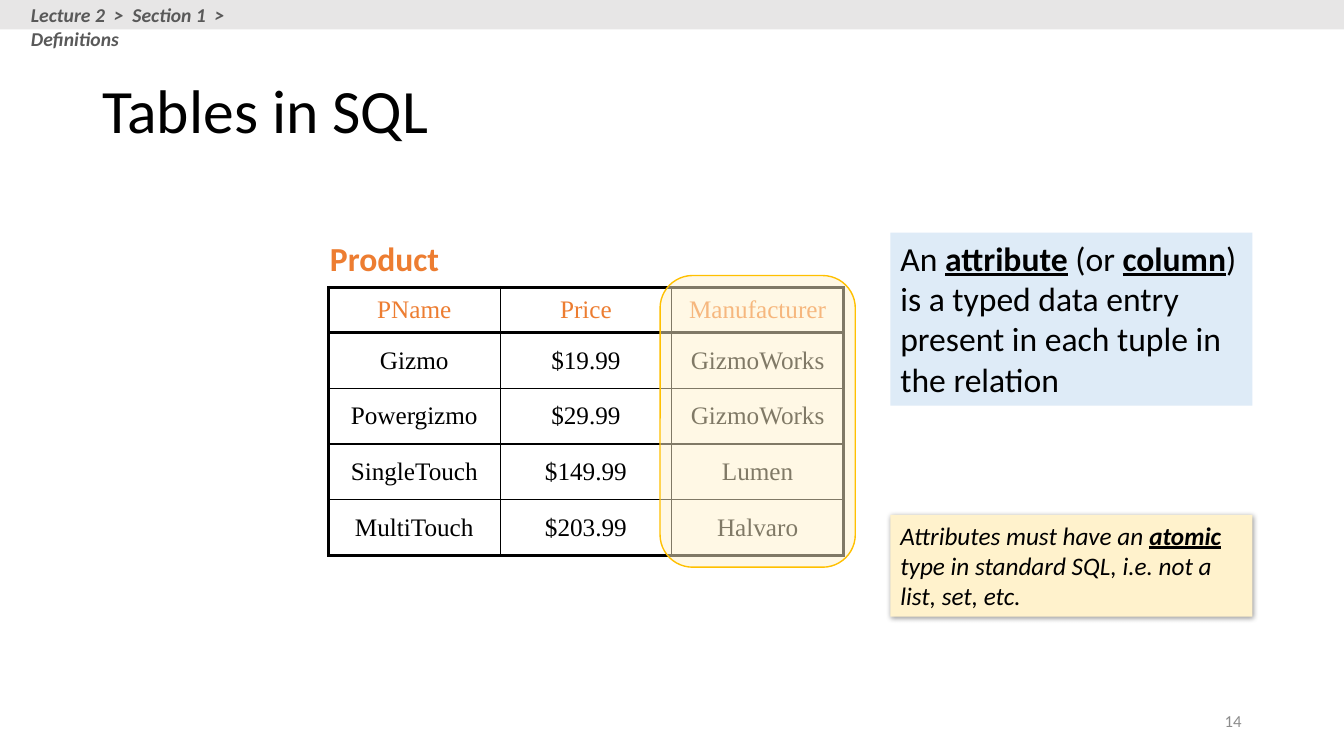
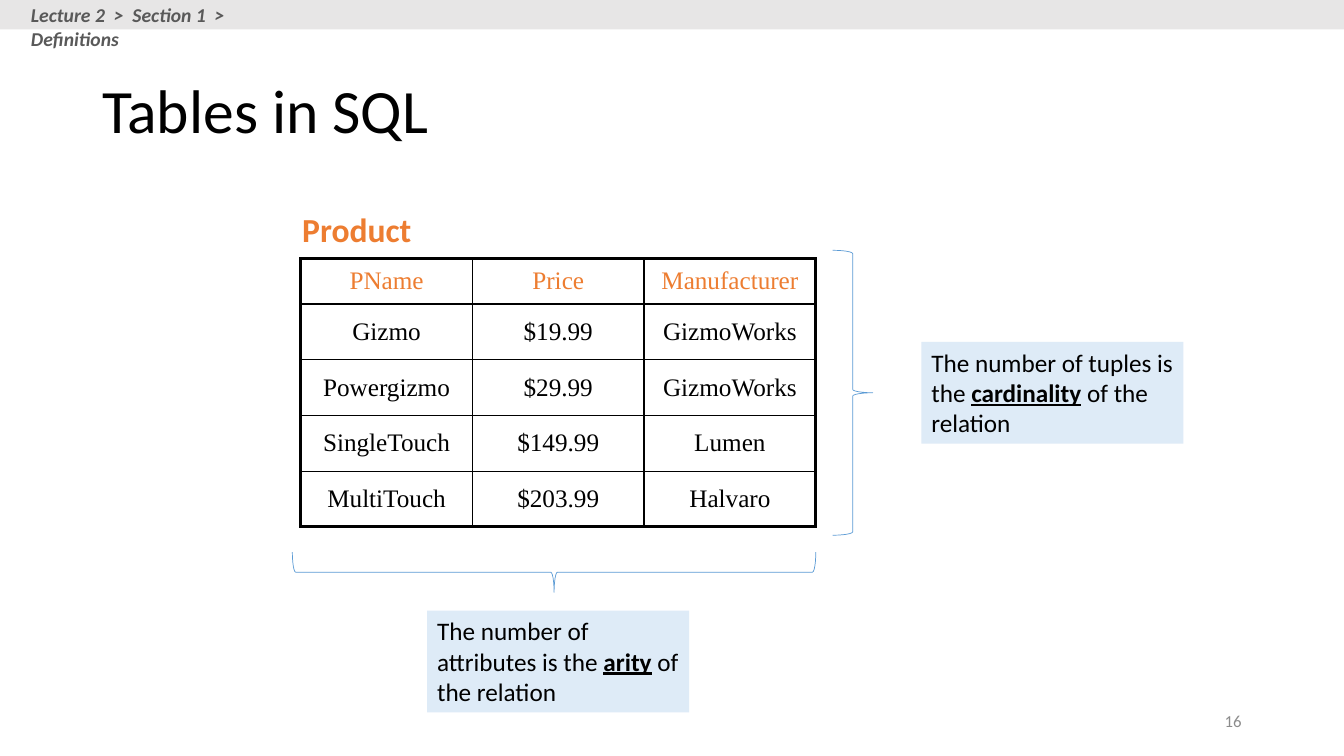
from dataclasses import dataclass

from lxml.etree import SubElement
from pptx import Presentation
from pptx.dml.color import RGBColor
from pptx.enum.shapes import MSO_SHAPE
from pptx.enum.text import MSO_ANCHOR, PP_ALIGN
from pptx.oxml.ns import qn
from pptx.util import Emu, Pt

# The slide is a grid of square cells, twelve to the inch.
CELL = 76200
GRID_COLUMNS, GRID_ROWS = 160, 90


@dataclass(frozen=True)
class Theme:
    body_font: str = "Calibri"
    table_font: str = "Times New Roman"
    ink: str = "000000"
    accent: str = "ED7D31"
    band: str = "E7E6E6"
    breadcrumb: str = "595959"
    page_number: str = "8C8C8C"
    definition: str = "DEEBF7"
    remark: str = "FFF2CC"
    highlight_line: str = "FFC000"
    brace: str = "5B9BD5"
    title_size: float = 44
    large_size: float = 24
    text_size: float = 18
    breadcrumb_size: float = 14
    number_size: float = 12
    outer_border: float = 2.25
    inner_border: float = 1


THEME = Theme()


@dataclass(frozen=True)
class Box:
    """An area in grid cells."""
    left: float
    top: float
    width: float
    height: float

    @property
    def right(self):
        return self.left + self.width

    @property
    def bottom(self):
        return self.top + self.height

    def grown(self, dx, dy):
        return Box(self.left - dx, self.top - dy, self.width + 2 * dx, self.height + 2 * dy)

    def emu(self):
        return [cells(n) for n in (self.left, self.top, self.width, self.height)]


BAND = Box(0, 0, GRID_COLUMNS, 3.5)
BREADCRUMB = Box(2.5, -0.2, 36.4, 4)
TITLE = Box(11, 4.8, 138, 17.4)
PAGE_NUMBER = Box(113, 83.4, 36, 4.8)
TABLE_COLUMN, HEADER_ROW, BODY_ROW = 20.44, 5.4, 6.63
BRACE_DEPTH = 4.8
NOTE_WIDTH, NOTE_HEIGHT = 31.2, 12.1

PRODUCTS = [
    ("PName", "Price", "Manufacturer"),
    ("Gizmo", "$19.99", "GizmoWorks"),
    ("Powergizmo", "$29.99", "GizmoWorks"),
    ("SingleTouch", "$149.99", "Lumen"),
    ("MultiTouch", "$203.99", "Halvaro"),
]


def cells(count):
    return Emu(round(count * CELL))


def style(run, size, color=THEME.ink, font=THEME.body_font, bold=False, italic=False):
    run.font.name, run.font.size = font, Pt(size)
    run.font.bold, run.font.italic = bold, italic
    run.font.color.rgb = RGBColor.from_string(color)


def add_text(slide, box, text, size, color=THEME.ink, anchor=MSO_ANCHOR.TOP,
             align=PP_ALIGN.LEFT, wrap=True, **emphasis):
    frame = slide.shapes.add_textbox(*box.emu()).text_frame
    frame.word_wrap, frame.vertical_anchor = wrap, anchor
    frame.text = text
    paragraph = frame.paragraphs[0]
    paragraph.alignment = align
    style(paragraph.runs[0], size, color, **emphasis)
    return paragraph


def add_outline(slide, kind, box, fill=None, line=None, line_width=1):
    shape = slide.shapes.add_shape(kind, *box.emu())
    shape.shadow.inherit = False
    if fill:
        shape.fill.solid()
        shape.fill.fore_color.rgb = RGBColor.from_string(fill)
    else:
        shape.fill.background()
    if line:
        shape.line.color.rgb = RGBColor.from_string(line)
        shape.line.width = Pt(line_width)
    else:
        shape.line.fill.background()
    return shape


def add_note(slide, box, text, size=THEME.text_size, fill=THEME.definition, italic=False):
    """Filled note; terms between asterisks are bold and underlined."""
    note = add_outline(slide, MSO_SHAPE.RECTANGLE, box, fill)
    frame = note.text_frame
    frame.word_wrap, frame.vertical_anchor = True, MSO_ANCHOR.TOP
    paragraph = frame.paragraphs[0]
    paragraph.alignment = PP_ALIGN.LEFT
    for index, part in enumerate(text.split("*")):
        is_term = index % 2 == 1
        run = paragraph.add_run()
        run.text = part
        style(run, size, bold=is_term, italic=italic)
        run.font.underline = is_term
    return note


def cast_shadow(shape):
    effects = shape.element.spPr.find(qn("a:effectLst"))
    shadow = SubElement(effects, qn("a:outerShdw"), blurRad=str(Pt(4)), dist=str(Pt(1)),
                        dir=str(45 * 60000), algn="tl", rotWithShape="0")
    color = SubElement(shadow, qn("a:srgbClr"), val=THEME.ink)
    SubElement(color, qn("a:alpha"), val="40000")


def add_highlight(slide, box):
    highlight = add_outline(slide, MSO_SHAPE.ROUNDED_RECTANGLE, box, THEME.remark,
                            THEME.highlight_line)
    color = highlight.element.spPr.find(qn("a:solidFill")).find(qn("a:srgbClr"))
    SubElement(color, qn("a:alpha"), val="50000")


def add_brace(slide, box, downward=False):
    """Brace filling the box, pointing right or downward."""
    if downward:
        left = box.left + (box.width - box.height) / 2
        top = box.top + (box.height - box.width) / 2
        box = Box(left, top, box.height, box.width)
    brace = add_outline(slide, MSO_SHAPE.RIGHT_BRACE, box, line=THEME.brace, line_width=0.5)
    brace.rotation = 90 if downward else 0


def set_borders(cell, **widths):
    properties = cell._tc.get_or_add_tcPr()
    for position, side in enumerate(("L", "R", "T", "B")):
        border = properties.makeelement(qn("a:ln" + side), {"w": str(Pt(widths[side]))})
        fill = SubElement(border, qn("a:solidFill"))
        SubElement(fill, qn("a:srgbClr"), val=THEME.ink)
        properties.insert(position, border)


def add_product_table(slide, left, top):
    """Product relation with its name above; returns the area of the table."""
    row_count, column_count = len(PRODUCTS), len(PRODUCTS[0])
    area = Box(left, top, column_count * TABLE_COLUMN,
               HEADER_ROW + (row_count - 1) * BODY_ROW)
    table = slide.shapes.add_table(row_count, column_count, *area.emu()).table
    table.first_row = table.horz_banding = False
    for column in table.columns:
        column.width = cells(TABLE_COLUMN)
    thick, thin = THEME.outer_border, THEME.inner_border
    for r, product in enumerate(PRODUCTS):
        table.rows[r].height = cells(BODY_ROW if r else HEADER_ROW)
        for c, value in enumerate(product):
            cell = table.cell(r, c)
            cell.fill.background()
            cell.vertical_anchor = MSO_ANCHOR.MIDDLE
            cell.text = value
            paragraph = cell.text_frame.paragraphs[0]
            paragraph.alignment = PP_ALIGN.CENTER
            paragraph.space_before = Pt(0.2 * THEME.text_size)
            style(paragraph.runs[0], THEME.text_size, THEME.ink if r else THEME.accent,
                  THEME.table_font)
            set_borders(cell,
                        L=thick if c == 0 else thin,
                        R=thick if c == column_count - 1 else thin,
                        T=thick if r <= 1 else thin,
                        B=thick if r in (0, row_count - 1) else thin)
    add_text(slide, Box(left - 1, top - 6.5, 15.6, 6), "Product", THEME.large_size,
             THEME.accent, wrap=False, bold=True)
    return area


def add_lecture_slide(deck, page):
    slide = deck.slides.add_slide(deck.slide_layouts[6])
    add_outline(slide, MSO_SHAPE.RECTANGLE, BAND, THEME.band)
    add_text(slide, BREADCRUMB, "Lecture 2  >  Section 1  >  Definitions",
             THEME.breadcrumb_size, THEME.breadcrumb, bold=True, italic=True)
    title = add_text(slide, TITLE, "Tables in SQL", THEME.title_size,
                     anchor=MSO_ANCHOR.MIDDLE)
    title.line_spacing = 0.9
    add_text(slide, PAGE_NUMBER, str(page), THEME.number_size, THEME.page_number,
             MSO_ANCHOR.MIDDLE, PP_ALIGN.RIGHT)
    return slide


def build_attribute_slide(deck):
    slide = add_lecture_slide(deck, 14)
    area = add_product_table(slide, 39.1, 34.2)
    manufacturer = Box(area.right - TABLE_COLUMN, area.top, TABLE_COLUMN, area.height)
    add_highlight(slide, manufacturer.grown(1.4, 1.4))
    add_note(slide, Box(106, 27.7, 43.1, 20.6),
             "An *attribute* (or *column*) is a typed data entry present in each tuple"
             " in the relation", THEME.large_size)
    remark = add_note(slide, Box(106, 61.3, 43.1, NOTE_HEIGHT),
                      "Attributes must have an *atomic* type in standard SQL,"
                      " i.e. not a list, set, etc.", fill=THEME.remark, italic=True)
    cast_shadow(remark)


def build_size_slide(deck):
    slide = add_lecture_slide(deck, 16)
    area = add_product_table(slide, 35.8, 30.8)
    add_brace(slide, Box(area.right + 2, area.top - 1, BRACE_DEPTH, area.height + 2))
    add_note(slide, Box(109.7, area.top + (area.height - NOTE_HEIGHT) / 2,
                        NOTE_WIDTH, NOTE_HEIGHT),
             "The number of tuples is the *cardinality* of the relation")
    add_brace(slide, Box(area.left - 1, area.bottom + 3, area.width + 1, BRACE_DEPTH),
              downward=True)
    add_note(slide, Box(area.left + (area.width - NOTE_WIDTH) / 2, 72.7,
                        NOTE_WIDTH, NOTE_HEIGHT),
             "The number of attributes is the *arity* of the relation")


def main():
    deck = Presentation()
    deck.slide_width, deck.slide_height = cells(GRID_COLUMNS), cells(GRID_ROWS)
    build_attribute_slide(deck)
    build_size_slide(deck)
    deck.save("out.pptx")


if __name__ == "__main__":
    main()
